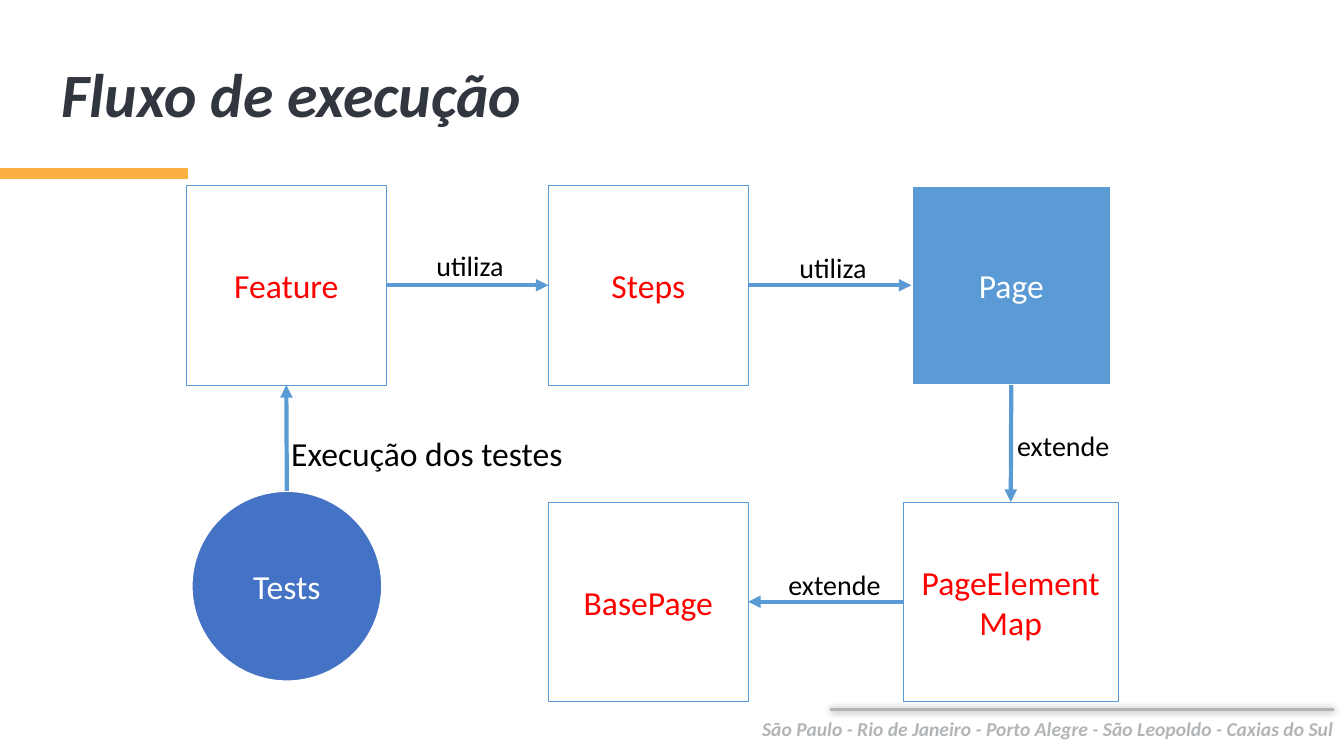
from lxml import etree
from pptx import Presentation
from pptx.dml.color import RGBColor
from pptx.enum.shapes import MSO_CONNECTOR, MSO_SHAPE
from pptx.enum.text import MSO_ANCHOR, MSO_AUTO_SIZE, PP_ALIGN
from pptx.oxml.ns import qn
from pptx.util import Inches, Pt

RECT, OVAL = MSO_SHAPE.RECTANGLE, MSO_SHAPE.OVAL
STRAIGHT = MSO_CONNECTOR.STRAIGHT
LEFT, CENTER, RIGHT = PP_ALIGN.LEFT, PP_ALIGN.CENTER, PP_ALIGN.RIGHT
MIDDLE = MSO_ANCHOR.MIDDLE
FIT = MSO_AUTO_SIZE.SHAPE_TO_FIT_TEXT

WHITE = RGBColor(0xFF, 0xFF, 0xFF)
BLACK = RGBColor(0, 0, 0)
RED = RGBColor(0xFF, 0, 0)
BLUE = RGBColor(0x5B, 0x9B, 0xD5)
NAVY = RGBColor(0x44, 0x72, 0xC4)
DARK = RGBColor(0x32, 0x36, 0x3F)
GRAY = RGBColor(0xB2, 0xB5, 0xB7)
AMBER = RGBColor(0xFB, 0xB0, 0x41)

# Connection sites of a shape
N, W, S, E = range(4)


class Deck:
    font = "Calibri"

    def __init__(self, slide):
        self.slide = slide
        self.shapes = slide.shapes

    def fill_in(self, frame, text, size, color, align=LEFT, strong=False):
        frame.text = text
        para = frame.paragraphs[0]
        para.alignment = align
        font = para.runs[0].font
        font.name, font.size = self.font, Pt(size)
        font.bold = font.italic = strong
        font.color.rgb = color
        return para

    def title(self, text, x, y, w, h):
        box = self.shapes.title
        box.left, box.top = Inches(x), Inches(y)
        box.width, box.height = Inches(w), Inches(h)
        box.text_frame.vertical_anchor = MIDDLE
        para = self.fill_in(box.text_frame, text, 44, DARK, strong=True)
        para.line_spacing = 0.9

    def label(self, text, x, y, w, h, size=20, color=BLACK, align=LEFT,
              strong=False, wrap=False):
        box = self.shapes.add_textbox(Inches(x), Inches(y), Inches(w), Inches(h))
        frame = box.text_frame
        frame.word_wrap = wrap
        frame.auto_size = FIT
        self.fill_in(frame, text, size, color, align, strong)

    def node(self, text, x, y, w, h, fill=WHITE, kind=RECT):
        plain = fill == WHITE
        node = self.shapes.add_shape(kind, Inches(x), Inches(y), Inches(w), Inches(h))
        node.shadow.inherit = False
        node.fill.solid()
        node.fill.fore_color.rgb = fill
        node.line.color.rgb = BLUE if plain else WHITE
        node.line.width = Pt(0.5 if plain else 1.5)
        node.text_frame.vertical_anchor = MIDDLE
        self.fill_in(node.text_frame, text, 24, RED if plain else WHITE, CENTER)
        return node

    def rule(self, x1, y1, x2, y2, color, width):
        rule = self.shapes.add_connector(
            STRAIGHT, Inches(x1), Inches(y1), Inches(x2), Inches(y2))
        rule.line.color.rgb = color
        rule.line.width = Pt(width)
        etree.SubElement(rule._element.spPr, qn("a:effectLst"))
        return rule

    def glow(self, rule):
        effects = rule._element.spPr.find(qn("a:effectLst"))
        shade = etree.SubElement(effects, qn("a:outerShdw"), blurRad=str(Pt(5)))
        tone = etree.SubElement(shade, qn("a:srgbClr"), val=str(BLACK))
        etree.SubElement(tone, qn("a:alpha"), val="40000")

    def arrow(self, start, out, end, into):
        arrow = self.rule(0, 0, 0, 0, BLUE, 3)
        arrow.begin_connect(start, out)
        arrow.end_connect(end, into)
        line = arrow._element.spPr.find(qn("a:ln"))
        etree.SubElement(line, qn("a:tailEnd"), type="triangle")


def main():
    prs = Presentation()
    prs.slide_width, prs.slide_height = Inches(13.33), Inches(7.5)
    deck = Deck(prs.slides.add_slide(prs.slide_layouts[5]))

    # Frame of the page
    deck.rule(0, 1.72, 1.86, 1.72, AMBER, 7.75)
    deck.glow(deck.rule(8.23, 7.04, 13.23, 7.04, GRAY, 2.25))
    deck.label("São Paulo - Rio de Janeiro - Porto Alegre - São Leopoldo - Caxias do Sul",
               5.44, 7.06, 7.89, 0.34, 14, GRAY, RIGHT, strong=True, wrap=True)
    deck.title("Fluxo de execução", 0.51, 0.4, 12.37, 1.13)

    # Nodes on two rows
    side, top, low = 1.98, 1.84, 4.98
    feature = deck.node("Feature", 1.85, top, side, side)
    steps = deck.node("Steps", 5.44, top, side, side)
    page = deck.node("Page", 9.04, top, side, side, BLUE)
    pmap = deck.node("PageElementMap", 8.96, low, 2.13, side)
    base = deck.node("BasePage", 5.44, low, side, side)
    tests = deck.node("Tests", 1.9, 4.87, 1.89, 1.89, NAVY, OVAL)

    # Arrows
    for link in ((feature, E, steps, W), (steps, E, page, W), (page, S, pmap, N),
                 (pmap, W, base, E), (tests, N, feature, S)):
        deck.arrow(*link)

    # Arrow labels
    for text, x, y, w in (("utiliza", 4.23, 2.42, 0.88), ("utiliza", 7.83, 2.44, 0.88),
                          ("extende", 9.99, 4.2, 1.13), ("extende", 7.72, 5.58, 1.13)):
        deck.label(text, x, y, w, 0.44)
    deck.label("Execução dos testes", 2.79, 4.25, 2.92, 0.5, 24)

    prs.save("out.pptx")


if __name__ == "__main__":
    main()
